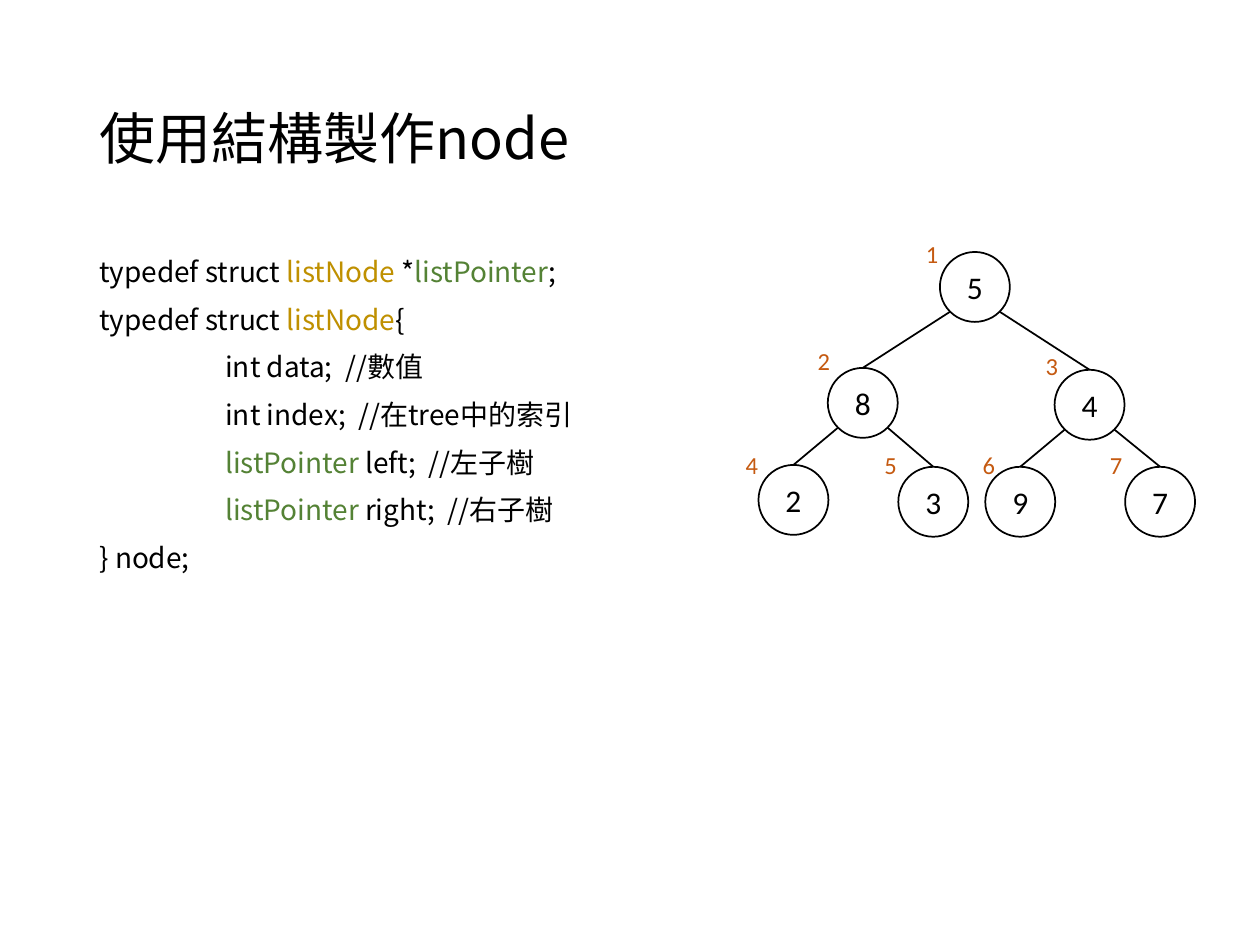
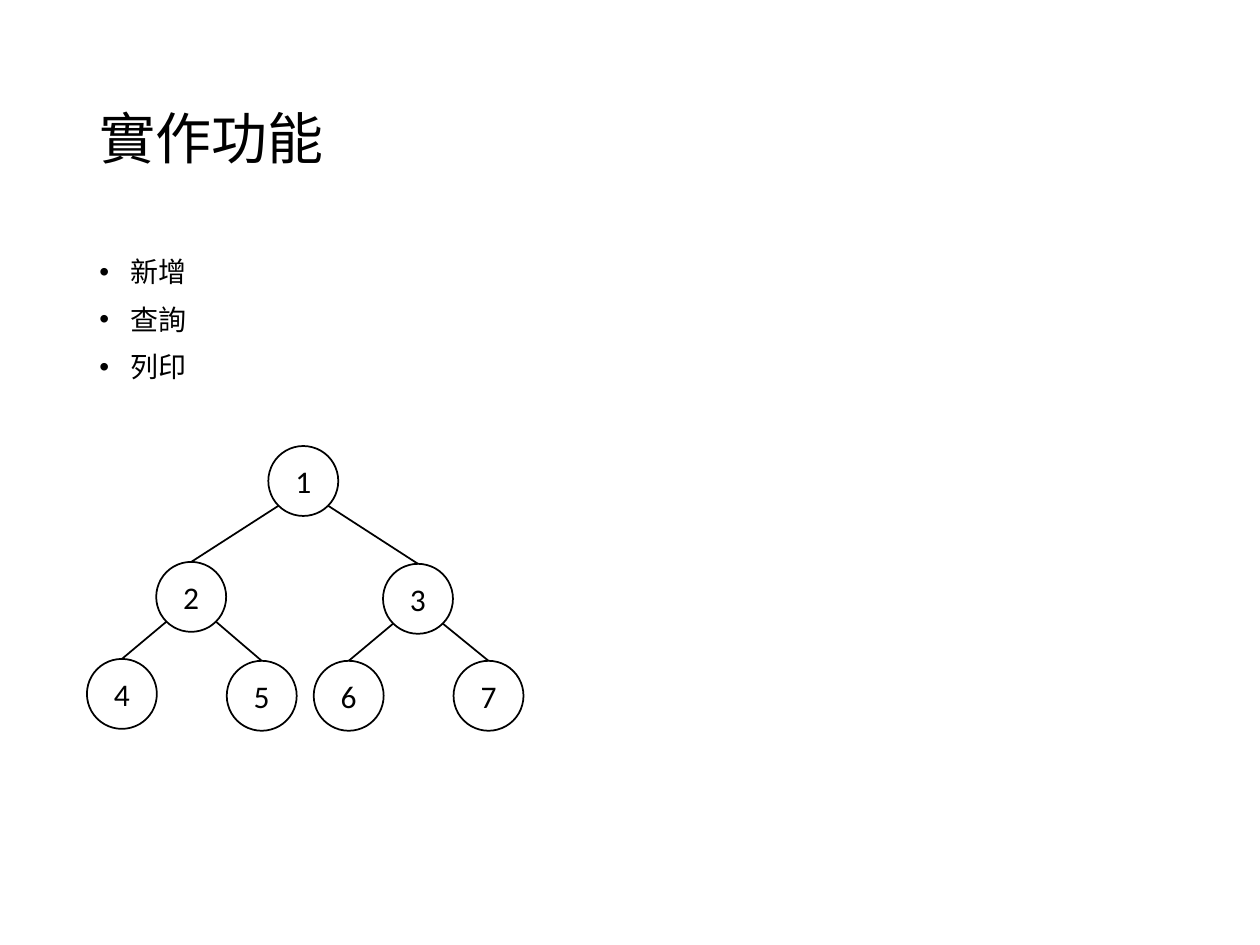
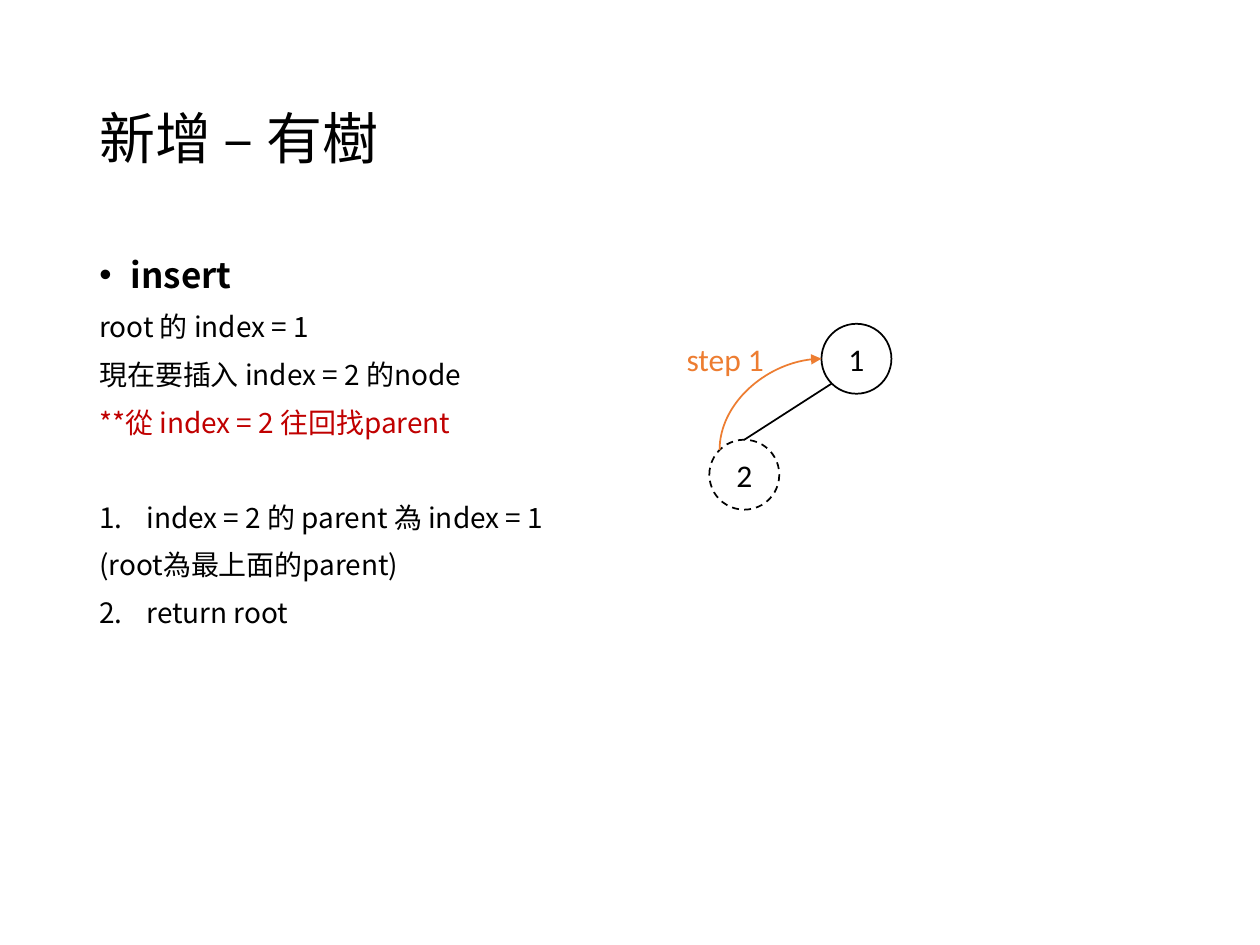
from dataclasses import dataclass
from math import sqrt

from lxml import etree
from pptx import Presentation
from pptx import util as u
from pptx.dml.color import RGBColor
from pptx.enum import dml, shapes, text
from pptx.oxml.ns import qn


@dataclass(frozen=True)
class Theme:
    ink: str = "000000"
    paper: str = "FFFFFF"
    struct: str = "BF9000"
    pointer: str = "548235"
    index: str = "C55A11"
    step: str = "ED7D31"
    warning: str = "C00000"
    body_font: str = "Noto Sans CJK SC"
    tree_font: str = "Calibri"
    title_size: int = 32
    heading_size: int = 20
    body_size: int = 16
    node_size: int = 18
    index_size: int = 14
    line_width: int = 1
    line_spacing: float = 0.9
    space_before: int = 10
    section_gap: int = 37


@dataclass
class Line:
    """One paragraph: runs are (text, colour) pairs; number is its list number."""
    runs: list
    bullet: bool = False
    number: int = 0
    heading: bool = False
    new_section: bool = False


THEME = Theme()
COLUMNS, ROWS = 100, 75
NODE = 5.55
DIAGONAL = NODE / 2 / sqrt(2)
# Sites on an ellipse run anticlockwise from the top.
TOP, TOP_LEFT, LEFT, BOTTOM_LEFT, BOTTOM_RIGHT = 0, 1, 2, 3, 5
# Heap index: place of a node relative to the root, in grid units.
NODE_OFFSETS = {1: (0, 0), 2: (-8.9, 9.2), 3: (9.1, 9.35), 4: (-14.4, 16.9),
                5: (-3.3, 17.05), 6: (3.6, 17.05), 7: (14.7, 17.05)}
# Heap index: place of the index label relative to its node.
LABEL_OFFSETS = {1: (-2.1, -1.5), 2: (-1.8, -2.2), 3: (-1.7, -2), 4: (-2, -1.7),
                 5: (-2.1, -1.8), 6: (-1.2, -1.8), 7: (-2.2, -1.8)}


class Deck:
    """Holds the theme and the current slide; lengths are grid columns and rows."""

    def __init__(self, theme):
        self.theme = theme
        self.presentation = Presentation()
        self.presentation.slide_width = u.Inches(10)
        self.presentation.slide_height = u.Inches(7.5)
        self.slide = None

    def x(self, columns):
        return round(self.presentation.slide_width * columns / COLUMNS)

    def y(self, rows):
        return round(self.presentation.slide_height * rows / ROWS)

    def box(self, left, top, width, height):
        return self.x(left), self.y(top), self.x(width), self.y(height)

    def new_slide(self, title):
        self.slide = self.presentation.slides.add_slide(self.presentation.slide_layouts[6])
        frame = self.text_box(6.9, 4, 86.2, 14.5)
        frame.vertical_anchor = text.MSO_ANCHOR.MIDDLE
        paragraph = frame.paragraphs[0]
        paragraph.line_spacing = self.theme.line_spacing
        self.run(paragraph, title, self.theme.title_size)

    def text_box(self, left, top, width, height, wrap=True):
        frame = self.slide.shapes.add_textbox(*self.box(left, top, width, height)).text_frame
        frame.word_wrap = wrap
        return frame

    def run(self, paragraph, words, size, color=None, font=None, bold=False):
        run = paragraph.add_run()
        run.text = words
        run.font.size = u.Pt(size)
        run.font.bold = bold
        run.font.color.rgb = RGBColor.from_string(color or self.theme.ink)
        run.font.name = font or self.theme.body_font
        etree.SubElement(run.font._element, qn("a:ea"), typeface=run.font.name)

    def body(self, lines, height=47.6):
        theme = self.theme
        frame = self.text_box(6.9, 20, 86.2, height)
        for position, line in enumerate(lines):
            paragraph = frame.add_paragraph() if position else frame.paragraphs[0]
            paragraph.line_spacing = theme.line_spacing
            if position:
                gap = theme.section_gap if line.new_section else theme.space_before
                paragraph.space_before = u.Pt(gap)
            self.list_mark(paragraph, line)
            size = theme.heading_size if line.heading else theme.body_size
            for words, color in line.runs:
                self.run(paragraph, words, size, color, bold=line.heading)

    def list_mark(self, paragraph, line):
        properties = paragraph._p.get_or_add_pPr()
        if line.bullet or line.number:
            indent = self.x(2.5 if line.bullet else 3.75)
            properties.set("marL", str(indent))
            properties.set("indent", str(-indent))
        if line.bullet:
            etree.SubElement(properties, qn("a:buFont"), typeface="Arial")
            etree.SubElement(properties, qn("a:buChar"), char="•")
        elif line.number:
            etree.SubElement(properties, qn("a:buAutoNum"), type="arabicPeriod",
                             startAt=str(line.number))
        else:
            etree.SubElement(properties, qn("a:buNone"))
            tabs = etree.SubElement(properties, qn("a:tabLst"))
            etree.SubElement(tabs, qn("a:tab"), pos=str(self.x(10)), algn="l")

    def label(self, words, left, top, width, height, size, color, wrap=False):
        frame = self.text_box(left, top, width, height, wrap)
        frame.auto_size = text.MSO_AUTO_SIZE.SHAPE_TO_FIT_TEXT
        self.run(frame.paragraphs[0], words, size, color, self.theme.tree_font)

    def node(self, value, left, top, dashed=False):
        shape = self.slide.shapes.add_shape(shapes.MSO_SHAPE.OVAL,
                                            *self.box(left, top, NODE, NODE))
        shape.shadow.inherit = False
        shape.fill.solid()
        shape.fill.fore_color.rgb = RGBColor.from_string(self.theme.paper)
        self.outline(shape.line, self.theme.ink)
        if dashed:
            shape.line.dash_style = dml.MSO_LINE.DASH
        paragraph = shape.text_frame.paragraphs[0]
        paragraph.alignment = text.PP_ALIGN.CENTER
        shape.text_frame.vertical_anchor = text.MSO_ANCHOR.MIDDLE
        self.run(paragraph, str(value), self.theme.node_size, font=self.theme.tree_font)
        return shape

    def outline(self, line, color):
        line.color.rgb = RGBColor.from_string(color)
        line.width = u.Pt(self.theme.line_width)

    def connector(self, kind, start, end, color, joints):
        """Draw a connector; joints are the (shape, site) pairs at its two ends."""
        connector = self.slide.shapes.add_connector(
            kind, self.x(start[0]), self.y(start[1]), self.x(end[0]), self.y(end[1]))
        self.outline(connector.line, color)
        etree.SubElement(connector._element.spPr, qn("a:effectLst"))
        links = connector._element.nvCxnSpPr.cNvCxnSpPr
        for tag, (shape, site) in zip(("a:stCxn", "a:endCxn"), joints):
            etree.SubElement(links, qn(tag), id=str(shape.shape_id), idx=str(site))
        return connector

    def curved_arrow(self, start, end, color, joints):
        """Draw a quarter curve that leaves upwards and arrives from the left."""
        center_x, center_y = (start[0] + end[0]) / 2, (start[1] + end[1]) / 2
        half_width, half_height = (start[1] - end[1]) / 2, (end[0] - start[0]) / 2
        connector = self.connector(
            shapes.MSO_CONNECTOR.CURVE, (center_x + half_width, center_y + half_height),
            (center_x - half_width, center_y - half_height), color, joints)
        properties = connector._element.spPr
        properties.find(qn("a:xfrm")).set("rot", str(90 * 60000))
        properties.find(qn("a:prstGeom")).set("prst", "curvedConnector2")
        etree.SubElement(properties.find(qn("a:ln")), qn("a:tailEnd"), type="triangle")

    def tree(self, left, top, values, indexed=False, dashed=()):
        """Draw values in heap order, with the root's box at left, top."""
        places = {index: (left + NODE_OFFSETS[index][0], top + NODE_OFFSETS[index][1])
                  for index in range(1, len(values) + 1)}
        nodes = {index: self.node(value, *places[index], dashed=index in dashed)
                 for index, value in enumerate(values, 1)}
        for child in range(2, len(values) + 1):
            parent, is_right = divmod(child, 2)
            side = 1 if is_right else -1
            start = (places[parent][0] + NODE / 2 + side * DIAGONAL,
                     places[parent][1] + NODE / 2 + DIAGONAL)
            end = places[child][0] + NODE / 2, places[child][1]
            site = BOTTOM_RIGHT if is_right else BOTTOM_LEFT
            self.connector(shapes.MSO_CONNECTOR.STRAIGHT, start, end, self.theme.ink,
                           [(nodes[parent], site), (nodes[child], TOP)])
        if indexed:
            for index, (node_left, node_top) in places.items():
                shift_x, shift_y = LABEL_OFFSETS[index]
                self.label(str(index), node_left + shift_x, node_top + shift_y, 3, 3.4,
                           self.theme.index_size, self.theme.index)
        return nodes, places


def struct_slide(deck):
    ink, struct, pointer = THEME.ink, THEME.struct, THEME.pointer
    deck.new_slide("使用結構製作node")
    deck.body([
        Line([("typedef struct ", ink), ("listNode", struct), (" *", ink),
              ("listPointer", pointer), (";", ink)]),
        Line([("typedef struct ", ink), ("listNode", struct), ("{", ink)]),
        Line([("\tint data;  //數值", ink)]),
        Line([("\tint index;  //在tree中的索引", ink)]),
        Line([("\t", ink), ("listPointer", pointer), (" left;  //左子樹", ink)]),
        Line([("\t", ink), ("listPointer", pointer), (" right;  //右子樹", ink)]),
        Line([("} node;", ink)]),
    ])
    deck.tree(74.6, 20, [5, 8, 4, 2, 3, 9, 7], indexed=True)


def features_slide(deck):
    deck.new_slide("實作功能")
    deck.body([Line([(feature, THEME.ink)], bullet=True)
               for feature in ("新增", "查詢", "列印")])
    deck.tree(21.3, 35.4, range(1, 8))


def insert_slide(deck):
    ink = THEME.ink
    deck.new_slide("新增 – 有樹")
    deck.body([
        Line([("insert", ink)], bullet=True, heading=True),
        Line([("root 的 index = 1", ink)]),
        Line([("現在要插入 index = 2 的node", ink)]),
        Line([("**從 index = 2 往回找parent", THEME.warning)]),
        Line([("index = 2 的 parent 為 index = 1", ink)], number=1, new_section=True),
        Line([("(root為最上面的parent)", ink)]),
        Line([("return root", ink)], number=2),
    ], height=52.4)
    nodes, places = deck.tree(65.2, 25.7, [1, 2], dashed={2})
    corner = NODE / 2 - DIAGONAL
    deck.curved_arrow((places[2][0] + corner, places[2][1] + corner),
                      (places[1][0], places[1][1] + NODE / 2), THEME.step,
                      [(nodes[2], TOP_LEFT), (nodes[1], LEFT)])
    deck.label("step 1", 53.5, 26.5, 9.8, 4, THEME.node_size, THEME.step, wrap=True)


def main():
    deck = Deck(THEME)
    for build in (struct_slide, features_slide, insert_slide):
        build(deck)
    deck.presentation.save("out.pptx")


if __name__ == "__main__":
    main()
